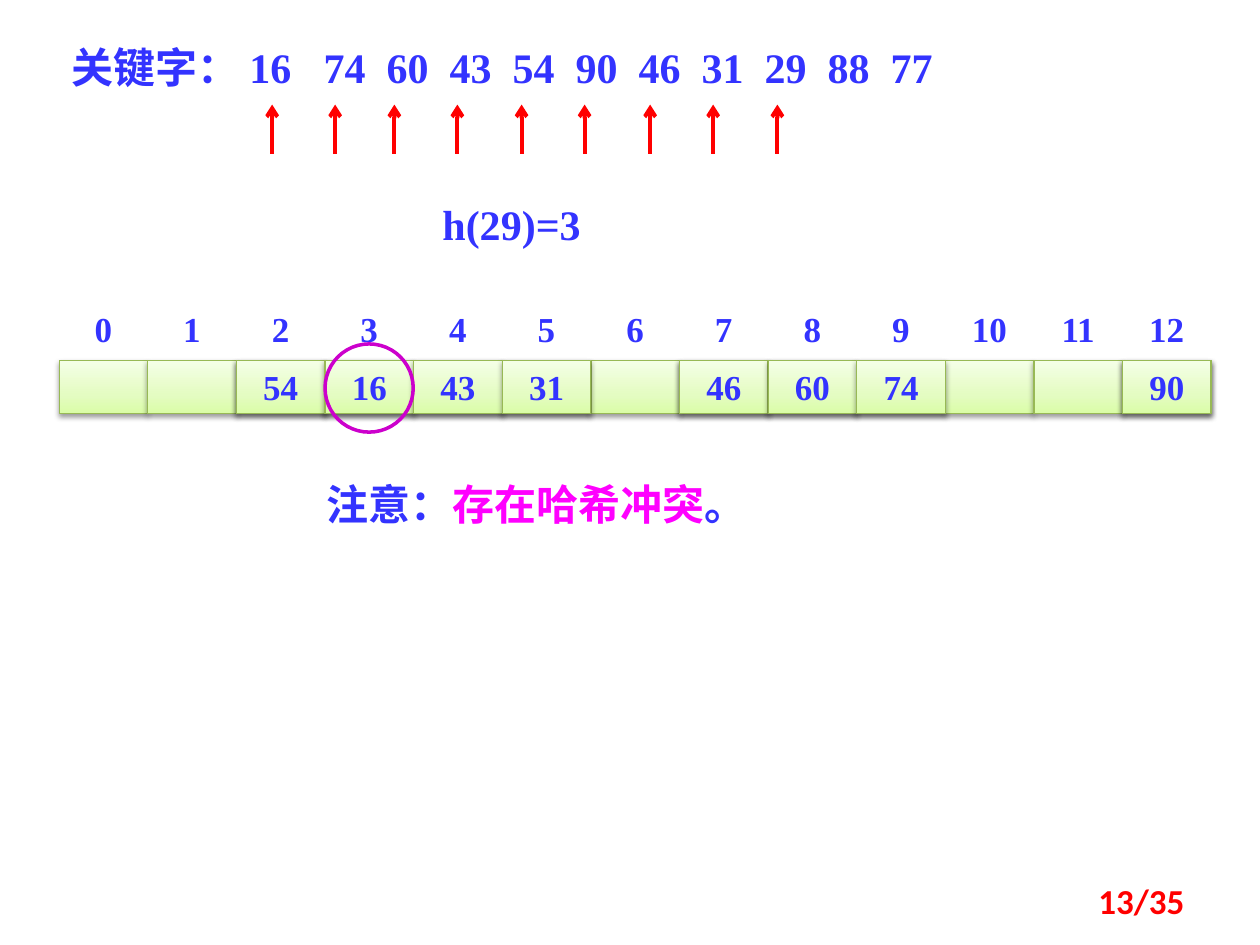
from copy import deepcopy

from lxml import etree
from pptx import Presentation
from pptx.dml.color import RGBColor
from pptx.enum.shapes import MSO_CONNECTOR, MSO_SHAPE
from pptx.enum.text import MSO_ANCHOR as ANCHOR, MSO_AUTO_SIZE as AUTO, PP_ALIGN as ALIGN
from pptx.oxml.ns import qn
from pptx.util import Inches, Pt

COLORS = {
    "blue": "3333FF", "pink": "FF00FF", "red": "FF0000", "purple": "CC00CC",
    "white": "FFFFFF", "edge": "98B955", "shadow": "000000",
    "cell_low": "DAFDA7", "cell_mid": "E4FCC2", "cell_high": "F5FFE7",
}
CELL_STOPS = [(0, "cell_low"), (0.35, "cell_mid"), (1, "cell_high")]
LATIN, CJK = "Times New Roman", "Noto Sans CJK SC"

KEYS = [16, 74, 60, 43, 54, 90, 46, 31, 29, 88, 77]
KEY_TABS = [1.41] + [2 + 0.5 * i for i in range(len(KEYS) - 1)]
ARROW_XS = [2.16, 2.66, 3.13, 3.63, 4.14, 4.64, 5.16, 5.66, 6.17]
TABLE = {2: 54, 3: 16, 4: 43, 5: 31, 7: 46, 8: 60, 9: 74, 12: 90}
SLOTS = 13
LEFT, TOP, HEIGHT = 0.47, 2.86, 0.42
PITCH = 8.44 / 12


def rgb(name):
    return RGBColor.from_string(COLORS[name])


def cell_x(i):
    return LEFT + i * PITCH


def write(shape, runs, size=24, font=LATIN, align=ALIGN.LEFT, **frame):
    """Fill a shape's text frame with (text, colour) runs."""
    tf = shape.text_frame
    for name, value in {"word_wrap": True, **frame}.items():
        setattr(tf, name, value)
    p = tf.paragraphs[0]
    p.alignment = align
    for text, color in runs:
        r = p.add_run()
        r.text = text
        for name, value in {"size": Pt(size), "name": font, "bold": True}.items():
            setattr(r.font, name, value)
        r.font.color.rgb = rgb(color)
        etree.SubElement(r.font._element, qn("a:ea"), typeface=CJK)
    return p


def add_text(s, box, runs, **fmt):
    return write(s.shapes.add_textbox(*map(Inches, box)), runs, **fmt)


def add_shape(s, kind, box, fill=None, line=None, width=1):
    sp = s.shapes.add_shape(kind, *map(Inches, box))
    sp.shadow.inherit = False
    if fill:
        sp.fill.solid()
        sp.fill.fore_color.rgb = rgb(fill)
    else:
        sp.fill.background()
    if line:
        sp.line.color.rgb = rgb(line)
        sp.line.width = Pt(width)
    else:
        sp.line.fill.background()
    return sp


def add_cell(s, i):
    """Draw slot i of the hash table with its gradient and soft shadow."""
    sp = add_shape(s, MSO_SHAPE.RECTANGLE, (cell_x(i), TOP, PITCH, HEIGHT),
                   line="edge", width=0.75)
    sp.fill.gradient()
    sp.fill.gradient_angle = 90
    stops = sp._element.spPr.find(".//" + qn("a:gsLst"))
    stops.append(deepcopy(stops[0]))
    for stop, (position, color) in zip(sp.fill.gradient_stops, CELL_STOPS):
        stop.position = position
        stop.color.rgb = rgb(color)
    effects = sp._element.spPr.find(qn("a:effectLst"))
    shadow = etree.SubElement(effects, qn("a:outerShdw"), blurRad=str(Pt(3.1)),
                              dist=str(Pt(1.6)), dir="5400000", rotWithShape="0")
    color = etree.SubElement(shadow, qn("a:srgbClr"), val=COLORS["shadow"])
    etree.SubElement(color, qn("a:alpha"), val="38000")
    return sp


def add_arrow(s, x):
    line = s.shapes.add_connector(MSO_CONNECTOR.STRAIGHT,
                                  *map(Inches, (x, 1.22, x, 0.83)))
    line.line.color.rgb = rgb("red")
    line.line.width = Pt(2.25)
    etree.SubElement(line.line._get_or_add_ln(), qn("a:tailEnd"), type="arrow")
    etree.SubElement(line._element.spPr, qn("a:effectLst"))


def add_keys(s):
    text = "\t".join(["关键字：", *map(str, KEYS)])
    p = add_text(s, (LEFT, 0.28, 7.89, 0.5), [(text, "blue")],
                 auto_size=AUTO.SHAPE_TO_FIT_TEXT)
    tabs = etree.SubElement(p._p.get_or_add_pPr(), qn("a:tabLst"))
    for x in KEY_TABS:
        etree.SubElement(tabs, qn("a:tab"), pos=str(Inches(x)), algn="l")


def add_hash_table(s):
    margins = dict.fromkeys(
        ("margin_left", "margin_right", "margin_top", "margin_bottom"), 0)
    for i in range(SLOTS):
        add_cell(s, i)
        add_text(s, (cell_x(i) + 0.14, 2.44, 0.42, 0.3), [(str(i), "blue")], size=20,
                 align=ALIGN.CENTER, auto_size=AUTO.SHAPE_TO_FIT_TEXT, **margins)
    for i, key in TABLE.items():
        write(add_cell(s, i), [(str(key), "blue")], size=20, align=ALIGN.CENTER,
              vertical_anchor=ANCHOR.MIDDLE)


def main():
    prs = Presentation()
    prs.slide_width, prs.slide_height = Inches(10), Inches(7.5)
    s = prs.slides.add_slide(prs.slide_layouts[6])

    add_text(s, (2.42, 3.75, 3.67, 0.5),
             [(" 注意：", "blue"), ("存在哈希冲突", "pink"), ("。", "blue")],
             font=CJK, auto_size=AUTO.SHAPE_TO_FIT_TEXT)
    add_hash_table(s)
    add_keys(s)
    formula = add_shape(s, MSO_SHAPE.RECTANGLE, (3.12, 1.53, 1.88, 0.5), fill="white")
    write(formula, [("h(29)=3", "blue")], align=ALIGN.CENTER,
          vertical_anchor=ANCHOR.TOP, auto_size=AUTO.SHAPE_TO_FIT_TEXT)
    add_shape(s, MSO_SHAPE.OVAL, (cell_x(3), 2.73, 0.7, 0.7), line="purple", width=2)
    for x in ARROW_XS:
        add_arrow(s, x)
    add_text(s, (7.17, 6.95, 2.33, 0.4), [("13/35", "red")], size=20, font="Calibri",
             align=ALIGN.RIGHT, vertical_anchor=ANCHOR.MIDDLE)
    prs.save("out.pptx")


if __name__ == "__main__":
    main()
